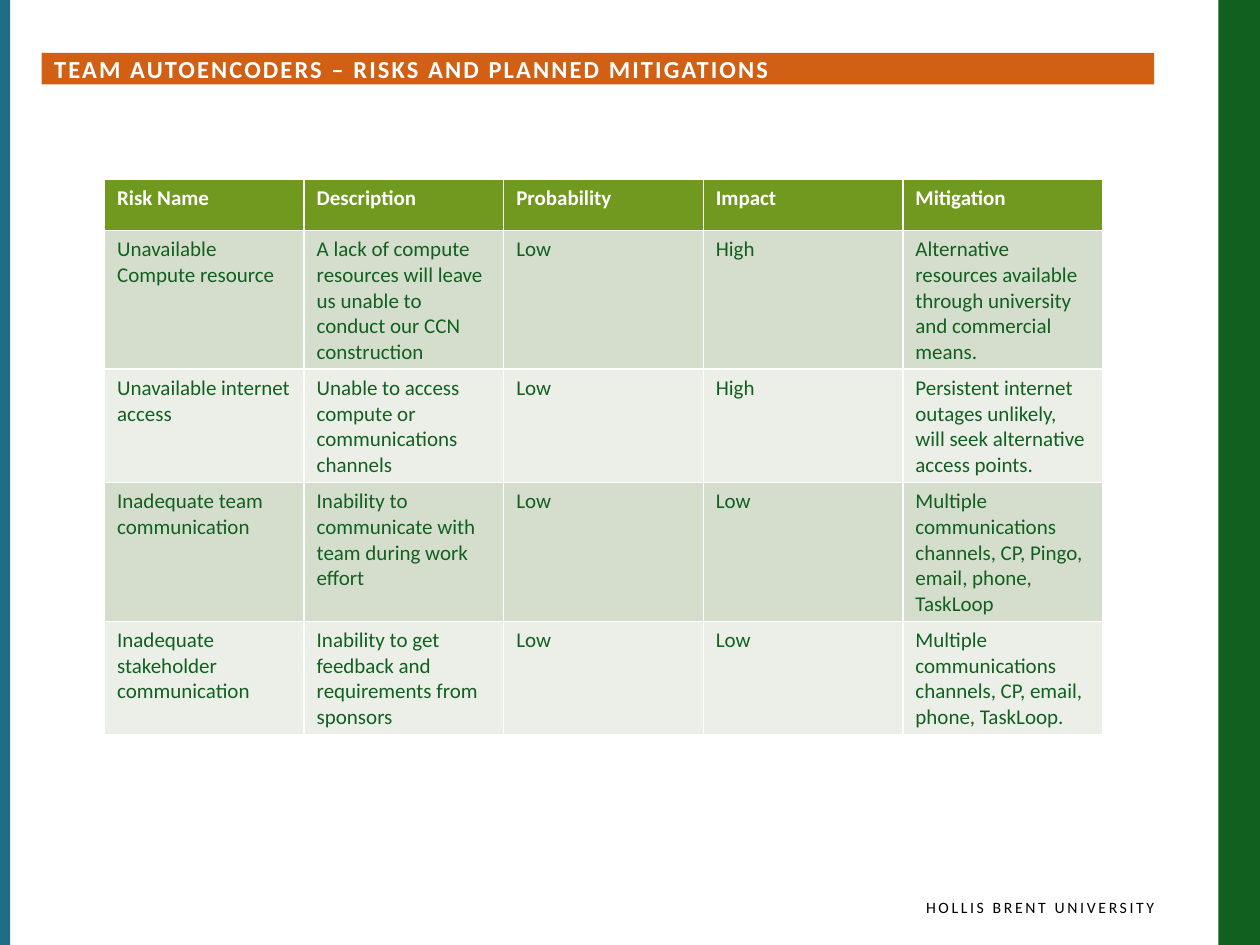
from pptx import Presentation
from pptx import util as u
from pptx.dml import color
from pptx.enum import shapes, text

COLORS = {
    "teal": "1E6E86",
    "green": "116020",
    "orange": "D26014",
    "header": "719920",
    "band_dark": "D5DECD",
    "band_light": "EBEFE8",
    "white": "FFFFFF",
    "black": "000000",
}
FONT = "Calibri"
RISKS = [
    ["Risk Name", "Description", "Probability", "Impact", "Mitigation"],
    ["Unavailable Compute resource",
     "A lack of compute resources will leave us unable to conduct our CCN construction",
     "Low", "High",
     "Alternative resources available through university and commercial means."],
    ["Unavailable internet access",
     "Unable to access compute or communications channels",
     "Low", "High",
     "Persistent internet outages unlikely, will seek alternative access points."],
    ["Inadequate team communication",
     "Inability to communicate with team during work effort",
     "Low", "Low",
     "Multiple communications channels, CP, Pingo, email, phone, TaskLoop"],
    ["Inadequate stakeholder communication",
     "Inability to get feedback and requirements from sponsors",
     "Low", "Low",
     "Multiple communications channels, CP, email, phone, TaskLoop."],
]


def inches(box):
    return [u.Inches(length) for length in box]


def paint(target, name):
    target.fill.solid()
    target.fill.fore_color.rgb = color.RGBColor.from_string(COLORS[name])


def write(frame, words, size, name, bold=False, align=text.PP_ALIGN.LEFT, tracking=0):
    frame.text = words
    para = frame.paragraphs[0]
    para.alignment = align
    span = para.runs[0]
    span.font.name = FONT
    span.font.size = u.Pt(size)
    span.font.bold = bold
    span.font.color.rgb = color.RGBColor.from_string(COLORS[name])
    if tracking:
        span._r.get_or_add_rPr().set("spc", str(round(tracking * 100)))


def set_margins(frame, box):
    (frame.margin_left, frame.margin_top,
     frame.margin_right, frame.margin_bottom) = inches(box)


def add_edge(page, box, name):
    edge = page.shapes.add_shape(shapes.MSO_SHAPE.RECTANGLE, *inches(box))
    edge.shadow.inherit = False
    edge.line.fill.background()
    paint(edge, name)


def add_footer(page, box, words):
    frame = page.shapes.add_textbox(*inches(box)).text_frame
    frame.word_wrap = True
    set_margins(frame, (0.1, 0.05, 0, 0.05))
    write(frame, words, 9, "black", align=text.PP_ALIGN.RIGHT, tracking=1.5)


def add_heading(page, box, words):
    heading = page.shapes.title
    heading.left, heading.top, heading.width, heading.height = inches(box)
    paint(heading, "orange")
    frame = heading.text_frame
    frame.word_wrap = True
    frame.auto_size = text.MSO_AUTO_SIZE.NONE
    frame.vertical_anchor = text.MSO_ANCHOR.MIDDLE
    set_margins(frame, (0.1, 0, 0.1, 0))
    write(frame, words, 14, "white", bold=True, tracking=1.2)


def add_risk_table(page, box, rows):
    table = page.shapes.add_table(len(rows), len(rows[0]), *inches(box)).table
    for row_index, row in enumerate(rows):
        is_header = row_index == 0
        band = "band_dark" if row_index % 2 else "band_light"
        for column_index, words in enumerate(row):
            cell = table.cell(row_index, column_index)
            paint(cell, "header" if is_header else band)
            write(cell.text_frame, words, 12,
                  "white" if is_header else "green", bold=is_header)


def main():
    deck = Presentation()
    deck.slide_width, deck.slide_height = inches((10, 7.5))
    page = deck.slides.add_slide(deck.slide_layouts[5])
    add_edge(page, (9.67, 0, 0.33, 7.5), "green")
    add_edge(page, (0, 0, 0.08, 7.5), "teal")
    add_footer(page, (5.08, 7.08, 4.08, 0.33), "HOLLIS BRENT UNIVERSITY")
    add_heading(page, (0.33, 0.42, 8.83, 0.25),
                "TEAM AUTOENCODERS – RISKS AND PLANNED MITIGATIONS")
    add_risk_table(page, (0.83, 1.42, 7.92, 2.05), RISKS)
    deck.save("out.pptx")


if __name__ == "__main__":
    main()
